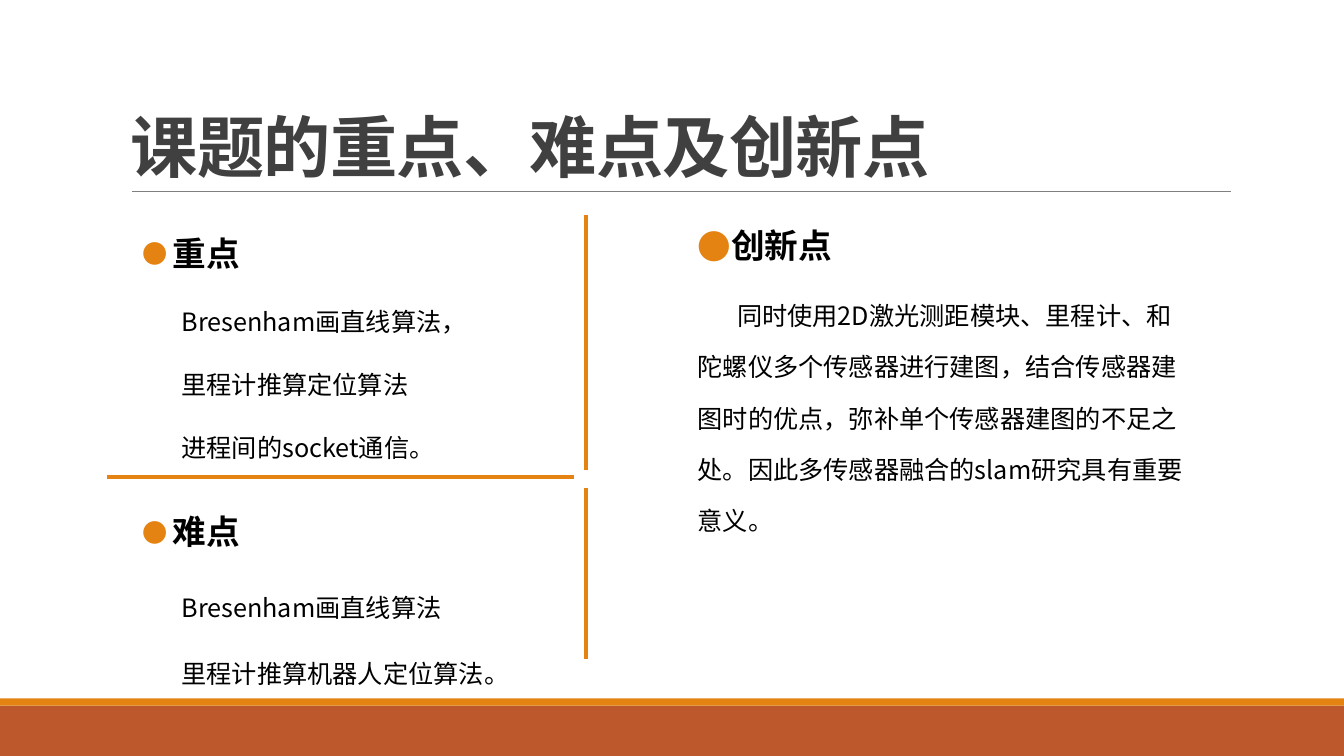
from dataclasses import dataclass

from lxml import etree
from pptx import Presentation
from pptx.dml.color import RGBColor
from pptx.enum.shapes import MSO_CONNECTOR, MSO_SHAPE
from pptx.enum.text import MSO_ANCHOR
from pptx.oxml.ns import qn
from pptx.util import Inches, Pt

STRAIGHT = MSO_CONNECTOR.STRAIGHT
RECTANGLE = MSO_SHAPE.RECTANGLE
TOP, BOTTOM = MSO_ANCHOR.TOP, MSO_ANCHOR.BOTTOM


@dataclass(frozen=True)
class Theme:
    font: str = "Noto Sans CJK SC"
    orange: str = "E48312"
    rust: str = "BD582C"
    gray: str = "808080"
    title_color: str = "404040"
    text_color: str = "000000"
    title_size: int = 48
    heading_size: int = 24
    body_size: int = 18
    hairline: float = 0.5
    divider: float = 3


THEME = Theme()


def add_line(page, start, end, color, width):
    line = page.shapes.add_connector(STRAIGHT, *map(Inches, start + end))
    line.line.color.rgb = RGBColor.from_string(color)
    line.line.width = Pt(width)
    etree.SubElement(line._element.spPr, qn("a:effectLst"))


def add_band(page, box, color):
    band = page.shapes.add_shape(RECTANGLE, *map(Inches, box))
    band.shadow.inherit = False
    band.fill.solid()
    band.fill.fore_color.rgb = RGBColor.from_string(color)
    band.line.fill.background()


def add_frame(page, box, side_inset, anchor):
    frame = page.shapes.add_textbox(*map(Inches, box)).text_frame
    frame.word_wrap = True
    frame.margin_left = frame.margin_right = Inches(side_inset)
    frame.margin_top = frame.margin_bottom = Inches(0.05)
    frame.vertical_anchor = anchor
    return frame


def add_span(para, text, size, color, bold=False):
    span = para.add_run()
    span.text = text
    span.font.size = Pt(size)
    span.font.bold = bold
    span.font.name = THEME.font
    span.font.color.rgb = RGBColor.from_string(color)
    properties = span.font._element
    etree.SubElement(properties, qn("a:ea"), typeface=THEME.font)
    return properties


def format_para(para, margin, indent, spacing, before, after):
    para.line_spacing = spacing
    para.space_before = Pt(before)
    para.space_after = Pt(after)
    properties = para._p.get_or_add_pPr()
    properties.set("marL", str(Inches(margin)))
    properties.set("indent", str(Inches(indent)))
    return properties


def add_bullet(properties):
    color = etree.SubElement(properties, qn("a:buClr"))
    etree.SubElement(color, qn("a:srgbClr"), val=THEME.orange)
    etree.SubElement(properties, qn("a:buFont"), typeface=THEME.font)
    etree.SubElement(properties, qn("a:buChar"), char="●")


def add_title(page, box, text):
    left, top, width, height = box
    para = add_frame(page, box, 0.1, BOTTOM).paragraphs[0]
    para.line_spacing = 0.85
    span = add_span(para, text, THEME.title_size, THEME.title_color, True)
    span.set("spc", "-50")
    base = top + height
    add_line(page, (left + 0.11, base), (left + width + 0.01, base),
             THEME.gray, THEME.hairline)


def add_topic(page, box, heading, lines, spacing, before, after, lead=""):
    frame = add_frame(page, box, 0, TOP)
    para = frame.paragraphs[0]
    add_bullet(format_para(para, 0.42, -0.2, spacing, 6, 4))
    if lead:
        add_span(para, lead, THEME.body_size, THEME.text_color)
    add_span(para, heading, THEME.heading_size, THEME.text_color, True)
    for text in lines:
        para = frame.add_paragraph()
        format_para(para, 0.22, 0.39, spacing, before, after)
        add_span(para, text, THEME.body_size, THEME.text_color)


def add_footer(page, box):
    left, top, width, height = box
    stripe = 0.07
    add_band(page, (left, top + stripe, width, height - stripe), THEME.rust)
    add_band(page, (left, top, width, stripe), THEME.orange)


def add_dividers(page, box):
    left, top, width, height = box
    right = left + width
    for start, end in (
        ((left, top + 2.6), (right - 0.12, top + 2.6)),
        ((right, top), (right, top + 2.53)),
        ((right, top + 2.71), (right, top + height)),
    ):
        add_line(page, start, end, THEME.orange, THEME.divider)


def build_topics_page(deck):
    page = deck.slides.add_slide(deck.slide_layouts[6])
    add_footer(page, (0, 6.93, 13.33, 0.57))
    add_title(page, (1.2, 0.31, 11, 1.59), "课题的重点、难点及创新点")
    add_topic(page, (1.19, 1.9, 3.83, 3), "重点",
              ["Bresenham画直线算法，", "里程计推算定位算法", "进程间的socket通信。"],
              spacing=1.9, before=0, after=4, lead=" ")
    add_topic(page, (6.7, 1.9, 5.09, 4.4), "创新点",
              ["同时使用2D激光测距模块、里程计、和陀螺仪多个传感器进行建图，"
               "结合传感器建图时的优点，弥补单个传感器建图的不足之处。"
               "因此多传感器融合的slam研究具有重要意义。"],
              spacing=1.7, before=6, after=4)
    add_topic(page, (1.19, 4.66, 5.09, 2.29), "难点",
              ["Bresenham画直线算法", "里程计推算机器人定位算法。"],
              spacing=1.9, before=6, after=0, lead=" ")
    add_dividers(page, (1.06, 2.13, 4.75, 4.41))


def main():
    deck = Presentation()
    deck.slide_width, deck.slide_height = Inches(13.33), Inches(7.5)
    build_topics_page(deck)
    deck.save("out.pptx")


if __name__ == "__main__":
    main()
